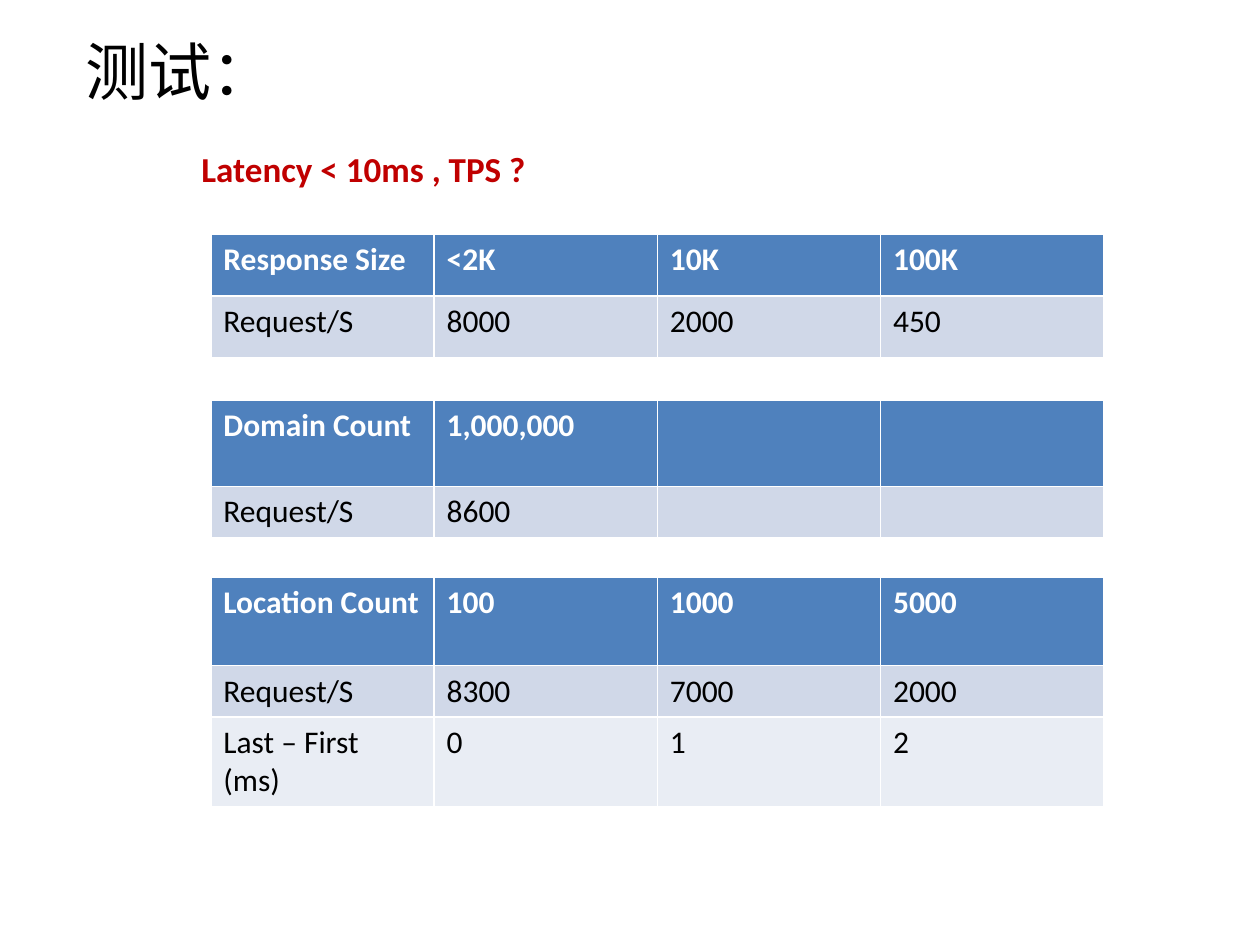
from pptx import Presentation
from pptx.dml.color import RGBColor
from pptx.enum.text import MSO_ANCHOR, PP_ALIGN
from pptx.util import Cm, Pt

LEFT = PP_ALIGN.LEFT
TOP = MSO_ANCHOR.TOP

TITLE = "测试："
QUESTION = "Latency < 10ms , TPS ?"
RESULTS = [
    {"top": 4.73, "heights": (1.24, 1.24), "rows": [
        ("Response Size", "<2K", "10K", "100K"),
        ("Request/S", "8000", "2000", "450")]},
    {"top": 8.06, "heights": (1.75, 1.02), "rows": [
        ("Domain Count", "1,000,000", "", ""),
        ("Request/S", "8600", "", "")]},
    {"top": 11.64, "heights": (1.78, 1.02, 1.02), "rows": [
        ("Location Count", "100", "1000", "5000"),
        ("Request/S", "8300", "7000", "2000"),
        ("Last – First (ms)", "0", "1", "2")]},
]
ROW_FILLS = ("4F81BD", "D0D8E8", "E9EDF4")
TABLE_LEFT, COLUMN_WIDTH = 4.25, 4.5


def color(hex_value):
    """Turn a hex string into a colour."""
    return RGBColor.from_string(hex_value)


def write(frame, text, size=18, font="Calibri", ink="000000", bold=False):
    """Write one left-aligned, formatted paragraph into a text frame."""
    paragraph = frame.paragraphs[0]
    paragraph.alignment = LEFT
    run = paragraph.add_run()
    run.text = text
    run.font.size = Pt(size)
    run.font.name = font
    run.font.bold = bold
    run.font.color.rgb = color(ink)


def add_results(slide, top, heights, rows):
    """Add one result table with a header row."""
    columns = len(rows[0])
    table = slide.shapes.add_table(
        len(rows), columns, Cm(TABLE_LEFT), Cm(top),
        Cm(COLUMN_WIDTH * columns), Cm(sum(heights))).table
    for column in table.columns:
        column.width = Cm(COLUMN_WIDTH)
    for r, (height, values) in enumerate(zip(heights, rows)):
        table.rows[r].height = Cm(height)
        header = r == 0
        for c, value in enumerate(values):
            cell = table.cell(r, c)
            cell.fill.solid()
            cell.fill.fore_color.rgb = color(ROW_FILLS[r])
            if value:
                write(cell.text_frame, value, bold=header,
                      ink="FFFFFF" if header else "000000")


def main():
    """Build the slide and save it."""
    deck = Presentation()
    deck.slide_width, deck.slide_height = Cm(25.4), Cm(19.05)
    slide = deck.slides.add_slide(deck.slide_layouts[5])

    title = slide.shapes.title
    title.left, title.top, title.width, title.height = (
        Cm(1.47), Cm(0.53), Cm(4.37), Cm(1.8))
    title.text_frame.word_wrap = False
    title.text_frame.vertical_anchor = TOP
    write(title.text_frame, TITLE, size=36, font="Noto Sans Mono")

    for result in RESULTS:
        add_results(slide, **result)

    question = slide.shapes.add_textbox(Cm(3.81), Cm(2.84), Cm(7.11), Cm(1.12))
    question.text_frame.word_wrap = False
    write(question.text_frame, QUESTION, size=20, ink="C00000", bold=True)

    deck.save("out.pptx")


if __name__ == "__main__":
    main()
